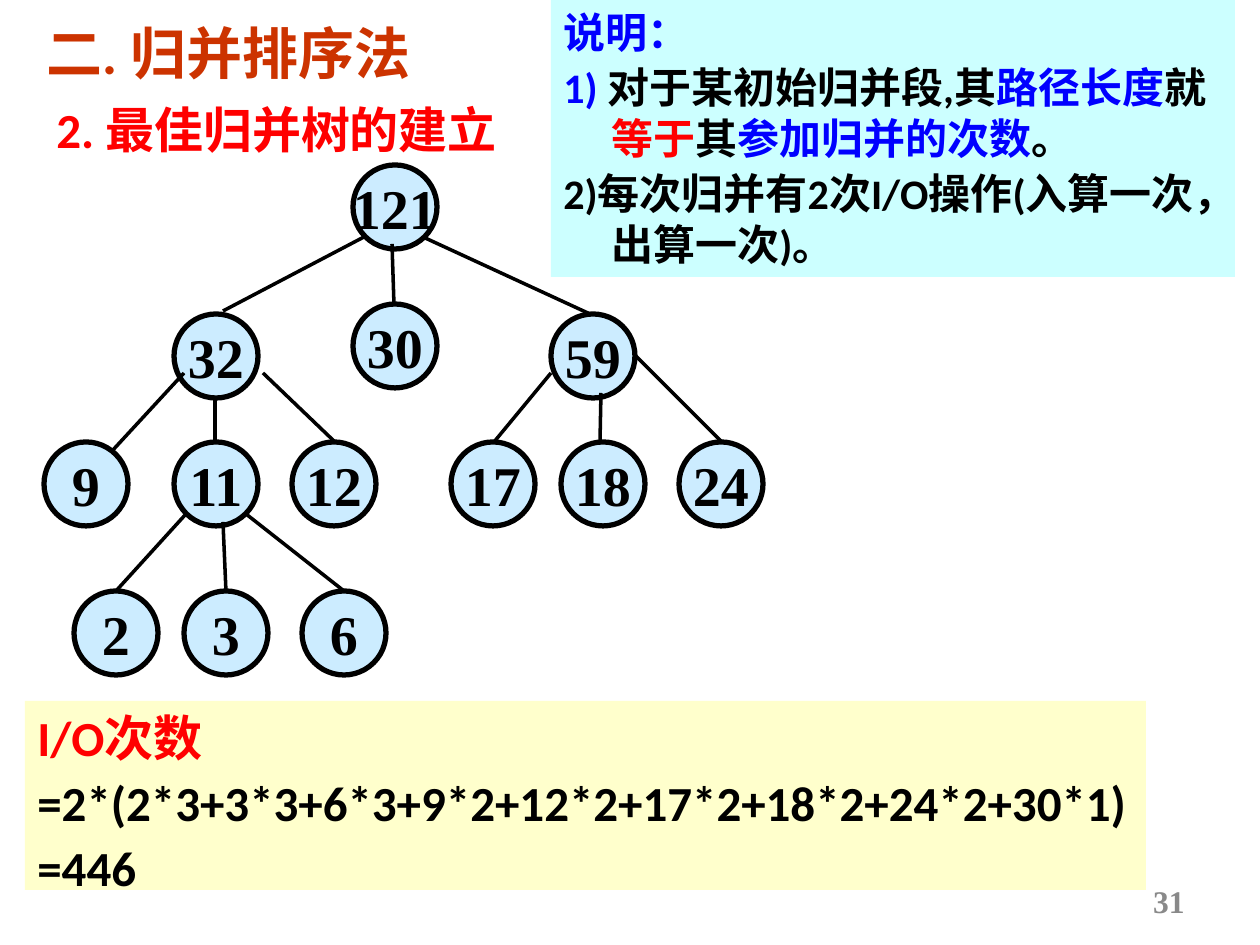
from lxml.etree import SubElement
from pptx import Presentation
from pptx.dml.color import RGBColor
from pptx.enum.shapes import MSO_CONNECTOR as Connector, MSO_SHAPE as Shape
from pptx.enum.text import MSO_ANCHOR as Anchor, MSO_AUTO_SIZE as AutoSize, PP_ALIGN as Align
from pptx.oxml.ns import qn
from pptx.util import Pt

EMU_PER_PX = 914400 / 126
NODE_SIZE = 84
HANGING = 48
SANS, SERIF = "Calibri", "Times New Roman"
COLORS = {
    "black": "000000", "red": "FF0000", "blue": "0000FF", "rust": "CC3300",
    "gray": "898989", "node": "CCECFF", "cyan": "CCFFFF", "cream": "FFFFCC",
}
ROOT_Y, LEAF_30_Y, LEVEL_1_Y, LEVEL_2_Y, LEVEL_3_Y = 165, 304, 314, 442, 591
LEFT_NODES = [
    ("121", 353, ROOT_Y), ("30", 353, LEAF_30_Y), ("32", 174, LEVEL_1_Y),
    ("9", 44, LEVEL_2_Y), ("12", 292, LEVEL_2_Y), ("11", 174, LEVEL_2_Y),
    ("2", 74, LEVEL_3_Y), ("3", 184, LEVEL_3_Y), ("6", 302, LEVEL_3_Y),
]
LEFT_EDGES = [
    (186, 514, 116, LEVEL_3_Y), (246, 514, 344, LEVEL_3_Y), (223, 522, 226, LEVEL_3_Y),
    (184, 373, 113, 450), (263, 373, 335, LEVEL_2_Y), (215, 398, 215, LEVEL_2_Y),
    (364, 237, 223, 311), (392, 244, 394, LEAF_30_Y), (423, 237, 590, LEVEL_1_Y),
]
RIGHT_NODES = [
    ("59", 551, LEVEL_1_Y), ("17", 451, LEVEL_2_Y),
    ("18", 561, LEVEL_2_Y), ("24", 679, LEVEL_2_Y),
]
RIGHT_EDGES = [
    (551, 373, 494, LEVEL_2_Y), (635, 355, 722, LEVEL_2_Y), (601, 393, 600, LEVEL_2_Y),
]
NOTES = [
    [("说明：", "blue")],
    [("1) ", "blue"), ("对于某初始归并段,其", "black"), ("路径长度", "blue"),
     ("就", "black"), ("等于", "red"), ("其", "black"),
     ("参加归并的次数", "blue"), ("。", "black")],
    [("2)每次归并有2次I/O操作(入算一次，出算一次)。", "black")],
]
IO_COUNT = [
    [("I/O次数", "red")],
    [("=2*(2*3+3*3+6*3+9*2+12*2+17*2+18*2+24*2+30*1)", "black")],
    [("=446", "black")],
]


def px(*lengths):
    return [round(length * EMU_PER_PX) for length in lengths]


def rgb(color):
    return RGBColor.from_string(COLORS[color])


def set_font(font, size, name, color=None):
    font.size, font.name, font.bold = Pt(size), name, True
    if color:
        font.color.rgb = rgb(color)


def hang(paragraph):
    indent = px(HANGING)[0]
    properties = paragraph._p.get_or_add_pPr()
    properties.set("marL", str(indent))
    properties.set("indent", str(-indent))


def write_line(frame, text, size, name, color, align=Align.LEFT):
    line = frame.paragraphs[0]
    line.text, line.alignment = text, align
    set_font(line.font, size, name, color)
    return line


def add_title(slide, text):
    title = slide.shapes.title
    title.left, title.top, title.width, title.height = px(34, 0, 417, 105)
    frame = title.text_frame
    frame.auto_size, frame.vertical_anchor = AutoSize.NONE, Anchor.MIDDLE
    write_line(frame, text, 32, SANS, "rust", Align.JUSTIFY)


def add_label(slide, box, *line):
    frame = slide.shapes.add_textbox(*px(*box)).text_frame
    frame.word_wrap = True
    return frame, write_line(frame, *line)


def add_filled(slide, outline, box, fill):
    shape = slide.shapes.add_shape(outline, *px(*box))
    shape.shadow.inherit = False
    shape.fill.solid()
    shape.fill.fore_color.rgb = rgb(fill)
    return shape


def add_node(slide, value, left, top):
    node = add_filled(slide, Shape.OVAL, (left, top, NODE_SIZE, NODE_SIZE), "node")
    node.line.color.rgb, node.line.width = rgb("black"), Pt(3)
    frame = node.text_frame
    frame.word_wrap, frame.vertical_anchor = False, Anchor.MIDDLE
    write_line(frame, value, 32, SERIF, "black", Align.CENTER)


def add_edge(slide, *ends):
    edge = slide.shapes.add_connector(Connector.STRAIGHT, *px(*ends))
    edge.line.color.rgb, edge.line.width = rgb("black"), Pt(2)
    SubElement(edge._element.spPr, qn("a:effectLst"))


def add_subtree(slide, nodes, edges):
    for node in nodes:
        add_node(slide, *node)
    for edge in edges:
        add_edge(slide, *edge)


def add_panel(slide, box, fill, lines, size, gap):
    panel = add_filled(slide, Shape.RECTANGLE, box, fill)
    panel.line.fill.background()
    frame = panel.text_frame
    frame.word_wrap, frame.vertical_anchor = True, Anchor.TOP
    for index, parts in enumerate(lines):
        line = frame.add_paragraph() if index else frame.paragraphs[0]
        line.alignment = Align.LEFT
        line.space_before = Pt(gap if index else 0)
        hang(line)
        set_font(line.font, size, SANS)
        for text, color in parts:
            run = line.add_run()
            run.text = text
            set_font(run.font, size, SANS, color)


def main():
    deck = Presentation()
    deck.slide_width, deck.slide_height = px(1260, 945)
    slide = deck.slides.add_slide(deck.slide_layouts[5])

    _, subtitle = add_label(slide, (44, 86, 486, 79), "2. 最佳归并树的建立", 28, SANS, "red")
    subtitle.line_spacing = Pt(38)
    hang(subtitle)
    page_frame, _ = add_label(slide, (903, 876, 294, 50), "31", 18, SERIF, "gray", Align.RIGHT)
    page_frame.vertical_anchor = Anchor.MIDDLE
    add_title(slide, "二. 归并排序法")

    add_subtree(slide, LEFT_NODES, LEFT_EDGES)
    add_subtree(slide, RIGHT_NODES, RIGHT_EDGES)

    add_panel(slide, (25, 701, 1121, 189), "cream", IO_COUNT, 28, 3.5)
    add_panel(slide, (551, 0, 684, 277), "cyan", NOTES, 24, 3)
    deck.save("out.pptx")


if __name__ == "__main__":
    main()
